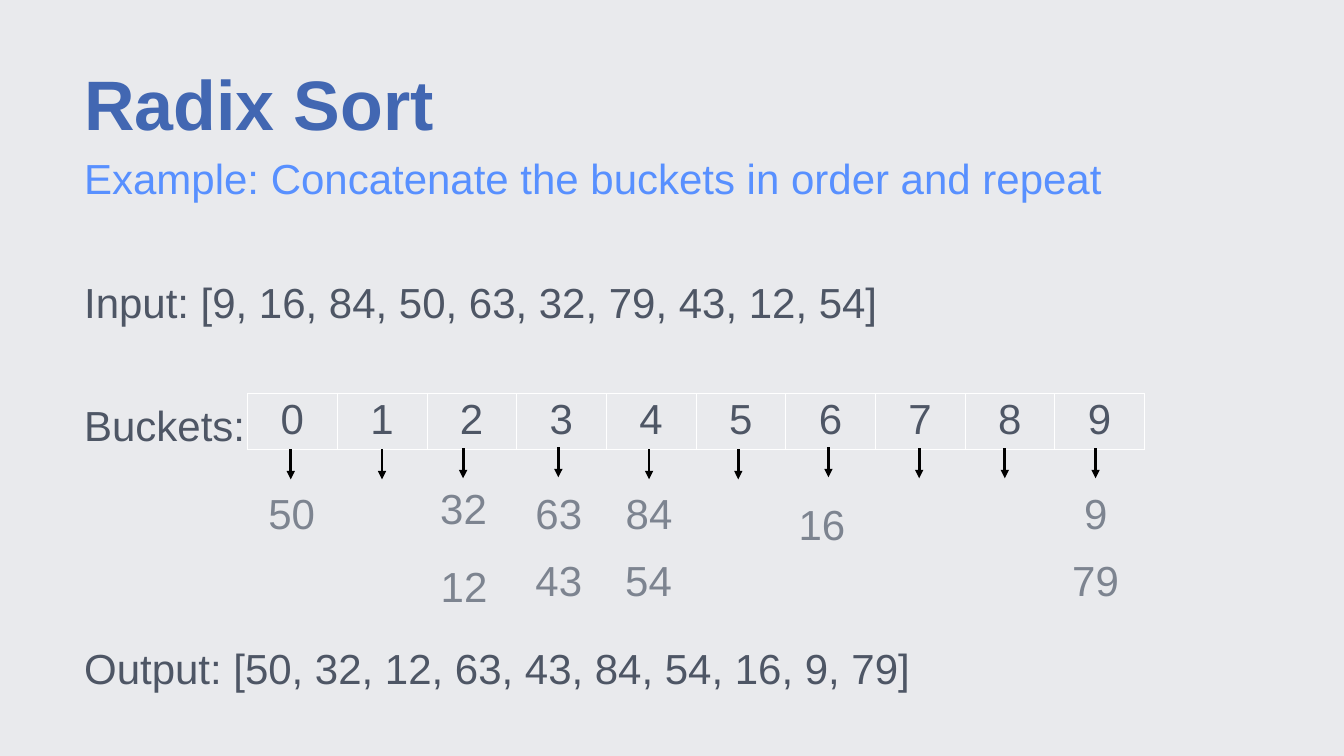
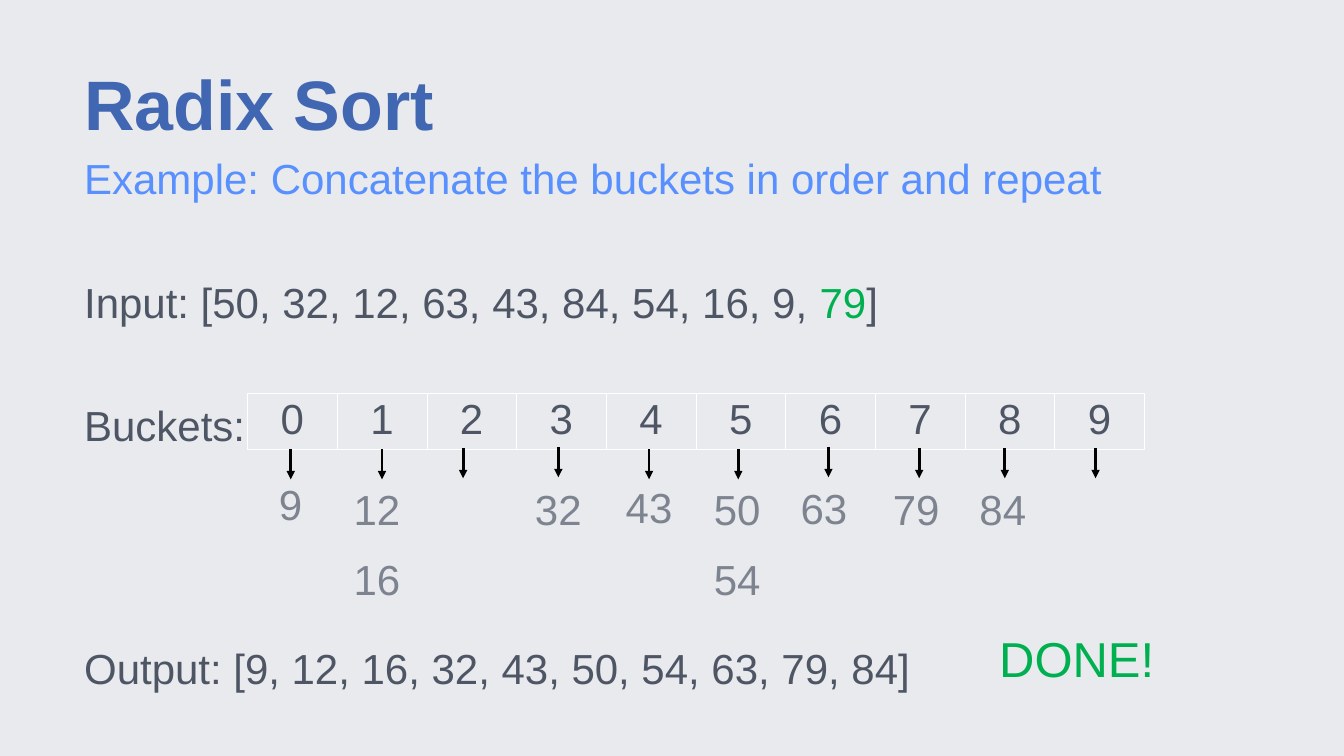
"""Build two slides that walk through the passes of a radix sort."""
from lxml.etree import SubElement
from pptx import Presentation
from pptx.dml.color import RGBColor
from pptx.enum.shapes import MSO_CONNECTOR as Connector
from pptx.enum.text import MSO_ANCHOR as Anchor, PP_ALIGN as Align
from pptx.oxml.ns import qn
from pptx.util import Inches, Pt

BACKGROUND, TITLE, SUBTITLE = "E9EAED", "4267B2", "5890FF"
BODY, VALUE, GREEN, WHITE, BLACK = "4E5665", "7D8490", "00B050", "FFFFFF", "000000"
COLUMN = 1.78
LEFT, WIDTH = 1.67, 23.33
ARROW_LENGTH = 0.6
BODY_GAPS = [5, 90, 261]
ARROWS = [
    (5.77, 8.91), (7.58, 8.91), (9.19, 8.89), (11.08, 8.87), (12.88, 8.91),
    (14.65, 8.91), (16.44, 8.87), (18.24, 8.89), (19.94, 8.89), (21.74, 8.89),
]
PASSES = [
    {
        "input": [("Input: [9, 16, 84, 50, 63, 32, 79, 43, 12, 54]", BODY)],
        "output": "Output: [50, 32, 12, 63, 43, 84, 54, 16, 9, 79]",
        "values": [
            ("50", 5.16, 9.29), ("32", 8.57, 9.19), ("12", 8.58, 10.74),
            ("63", 10.46, 9.29), ("43", 10.46, 10.61), ("84", 12.25, 9.29),
            ("54", 12.24, 10.61), ("16", 15.68, 9.5), ("9", 21.43, 9.29),
            ("79", 21.11, 10.61),
        ],
        "done": False,
    },
    {
        "input": [
            ("Input: [50, 32, 12, 63, 43, 84, 54, 16, 9, ", BODY),
            ("79", GREEN),
            ("]", BODY),
        ],
        "output": "Output: [9, 12, 16, 32, 43, 50, 54, 63, 79, 84]",
        "values": [
            ("9", 5.45, 9.1), ("12", 6.85, 9.21), ("16", 6.85, 10.6),
            ("32", 10.45, 9.21), ("43", 12.25, 9.16), ("50", 14, 9.21),
            ("54", 14, 10.6), ("63", 15.72, 9.19), ("79", 17.55, 9.21),
            ("84", 19.27, 9.21),
        ],
        "done": True,
    },
]


def paint(color_format, color):
    color_format.rgb = RGBColor.from_string(color)


def write(para, text, size=60, color=BODY, bold=False, align=Align.LEFT, spacing=1.0):
    para.alignment = align
    para.line_spacing = spacing
    span = para.add_run()
    span.text = text
    span.font.name = "Arial"
    span.font.size = Pt(size)
    span.font.bold = bold
    paint(span.font.color, color)


deck = Presentation()
deck.slide_width, deck.slide_height = Inches(26.67), Inches(15)

for sort_pass in PASSES:
    slide = deck.slides.add_slide(deck.slide_layouts[6])
    slide.background.fill.solid()
    paint(slide.background.fill.fore_color, BACKGROUND)

    body = slide.shapes.add_textbox(
        Inches(LEFT), Inches(5.28), Inches(WIDTH), Inches(3.63)
    ).text_frame
    body.word_wrap = True
    body.margin_left = body.margin_right = body.margin_top = body.margin_bottom = 0
    lines = [sort_pass["input"], [("Buckets:", BODY)], [(sort_pass["output"], BODY)]]
    for index, (line, gap) in enumerate(zip(lines, BODY_GAPS)):
        para = body.add_paragraph() if index else body.paragraphs[0]
        para.space_before = Pt(gap)
        for text, color in line:
            write(para, text, color=color, spacing=1.2)

    table_frame = slide.shapes.add_table(
        1, 10, Inches(4.91), Inches(7.81), Inches(10 * COLUMN), Inches(0.41)
    )
    table = table_frame.table
    table.first_row = table.horz_banding = False
    for digit, column in enumerate(table.columns):
        column.width = Inches(COLUMN)
        cell = table.cell(0, digit)
        write(cell.text_frame.paragraphs[0], str(digit), align=Align.CENTER)
        properties = cell._tc.get_or_add_tcPr()
        for side in ("a:lnL", "a:lnR", "a:lnT", "a:lnB"):
            border = SubElement(properties, qn(side), w=str(Pt(1)))
            SubElement(SubElement(border, qn("a:solidFill")), qn("a:srgbClr"), val=WHITE)
        cell.fill.background()

    for x, top in ARROWS:
        arrow = slide.shapes.add_connector(
            Connector.STRAIGHT, Inches(x), Inches(top), Inches(x), Inches(top + ARROW_LENGTH)
        )
        arrow.line.width = Pt(4)
        arrow.line.fill.solid()
        paint(arrow.line.fill.fore_color, BLACK)
        SubElement(arrow.line._get_or_add_ln(), qn("a:tailEnd"), type="triangle")
        SubElement(arrow._element.spPr, qn("a:effectLst"))

    heading = {"spacing": 0.9}
    centered = {"align": Align.CENTER, "spacing": 1.1}
    labels = [
        ("Radix Sort", LEFT, 1.14, WIDTH, 2.01,
         {"size": 100, "color": TITLE, "bold": True, **heading}),
        ("Example: Concatenate the buckets in order and repeat", LEFT, 2.97, WIDTH, 1.22,
         {"color": SUBTITLE, **heading}),
    ]
    for value, left, top in sort_pass["values"]:
        labels.append((value, left, top, 0.63 * len(value), 1.67, {"color": VALUE, **centered}))
    if sort_pass["done"]:
        labels.append(("DONE!", 19.57, 12.16, 3.59, 1.67, {"size": 70, "color": GREEN, **centered}))

    for text, left, top, width, height, style in labels:
        box = slide.shapes.add_textbox(Inches(left), Inches(top), Inches(width), Inches(height))
        frame = box.text_frame
        frame.word_wrap = width == WIDTH
        frame.vertical_anchor = Anchor.MIDDLE
        frame.margin_left = frame.margin_right = frame.margin_top = frame.margin_bottom = 0
        write(frame.paragraphs[0], text, **style)

deck.save("out.pptx")
